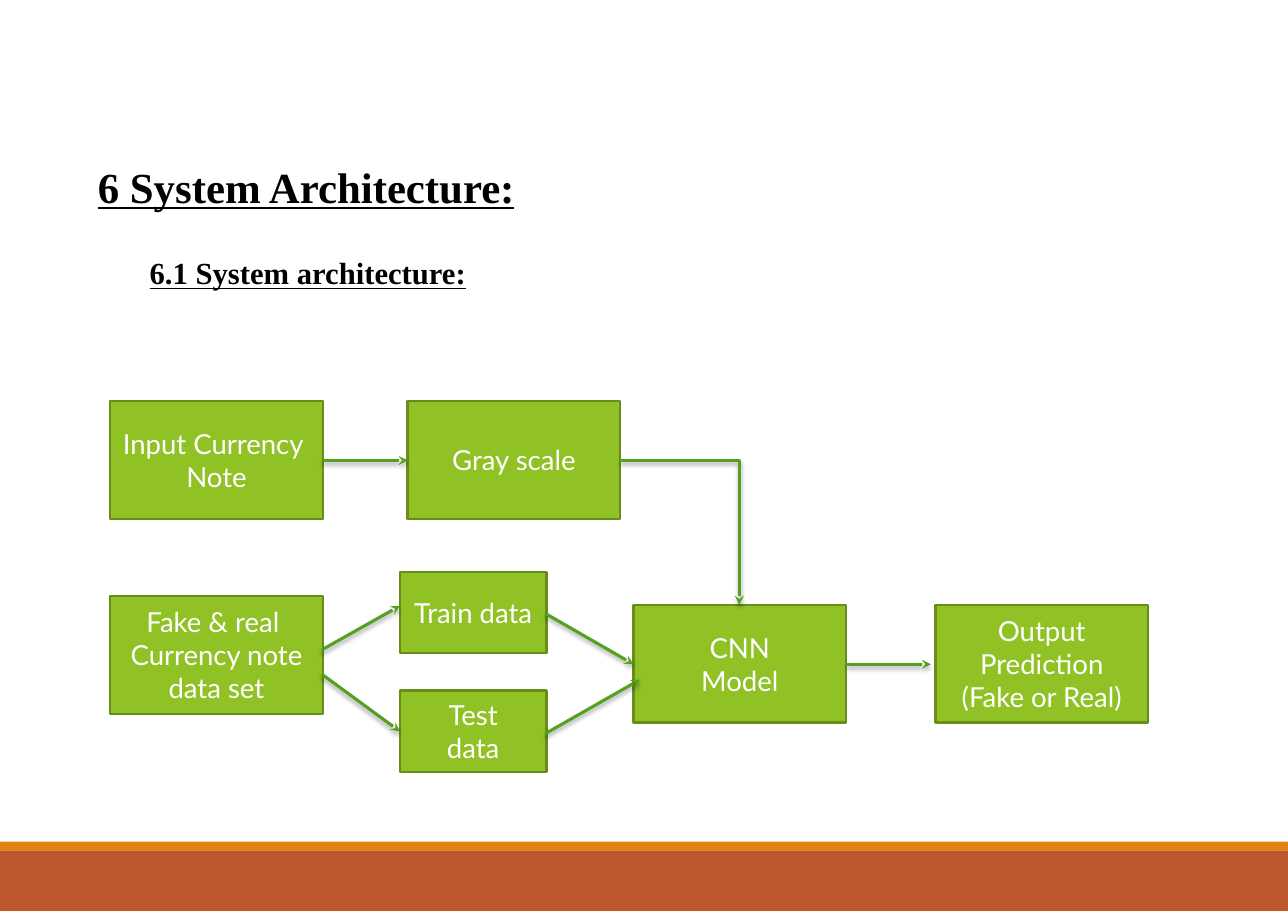
import pptx
import pptx.util
import pptx.dml.color
import pptx.enum.shapes
import pptx.enum.text
import pptx.oxml
from lxml import etree

Inches, Pt = pptx.util.Inches, pptx.util.Pt
RGBColor = pptx.dml.color.RGBColor
RECTANGLE = pptx.enum.shapes.MSO_SHAPE.RECTANGLE
STRAIGHT = pptx.enum.shapes.MSO_CONNECTOR.STRAIGHT
ELBOW = pptx.enum.shapes.MSO_CONNECTOR.ELBOW

RUST = RGBColor(0xBD, 0x58, 0x2C)
ORANGE = RGBColor(0xE4, 0x83, 0x12)
GREEN = RGBColor(0x90, 0xC2, 0x26)
OLIVE = RGBColor(0x69, 0x8D, 0x1B)
ARROW_GREEN = RGBColor(0x54, 0xA0, 0x21)
BLACK = RGBColor(0, 0, 0)
WHITE = RGBColor(0xFF, 0xFF, 0xFF)

ARROW_SHADOW = (
    '<a:effectLst xmlns:a="http://schemas.openxmlformats.org/drawingml/2006/main">'
    '<a:outerShdw blurRad="38100" dist="25400" dir="5400000" rotWithShape="0">'
    '<a:srgbClr val="000000"><a:alpha val="35000"/></a:srgbClr>'
    '</a:outerShdw></a:effectLst>'
)

deck = pptx.Presentation()
deck.slide_width, deck.slide_height = Inches(11.69), Inches(8.27)
slide = deck.slides.add_slide(deck.slide_layouts[6])


def add_block(left, top, width, height, color):
    block = slide.shapes.add_shape(
        RECTANGLE, Inches(left), Inches(top), Inches(width), Inches(height))
    block.shadow.inherit = False
    block.fill.solid()
    block.fill.fore_color.rgb = color
    block.line.fill.background()
    return block


# Footer bands
add_block(0, 7.72, 11.69, 0.55, RUST)
add_block(0, 7.64, 11.69, 0.08, ORANGE)

# Headings
for left, top, width, height, size, wording in [
    (0.79, 1.41, 9.06, 0.53, 28, "6 System Architecture:"),
    (1.26, 2.26, 4.33, 0.38, 20, "6.1 System architecture:"),
]:
    heading = slide.shapes.add_textbox(
        Inches(left), Inches(top), Inches(width), Inches(height)).text_frame
    heading.word_wrap = True
    heading.text = wording
    font = heading.paragraphs[0].font
    font.name, font.size, font.color.rgb = "Times New Roman", Pt(size), BLACK
    font.bold = font.underline = True

# Process steps
LARGE, SMALL = (1.93, 1.07), (1.33, 0.74)
for left, top, step_size, wording in [
    (1, 3.64, LARGE, "Input Currency \nNote"),
    (3.7, 3.64, LARGE, "Gray scale"),
    (1, 5.41, LARGE, "Fake & real \nCurrency note data set"),
    (3.63, 5.19, SMALL, "Train data"),
    (3.63, 6.27, SMALL, "Test\ndata"),
    (5.75, 5.49, LARGE, "CNN\nModel"),
    (8.49, 5.49, LARGE, "Output\nPrediction\n(Fake or Real)"),
]:
    step = add_block(left, top, *step_size, GREEN)
    step.line.color.rgb = OLIVE
    step.line.width = Pt(1.5)
    label = step.text_frame
    label.word_wrap = True
    label.vertical_anchor = pptx.enum.text.MSO_ANCHOR.MIDDLE
    label.text = wording
    for paragraph in label.paragraphs:
        paragraph.alignment = pptx.enum.text.PP_ALIGN.CENTER
        font = paragraph.font
        font.name, font.size, font.color.rgb = "Lato", Pt(18), WHITE

# Flow arrows
for route, x1, y1, x2, y2 in [
    (STRAIGHT, 2.93, 4.18, 3.7, 4.18),
    (STRAIGHT, 4.95, 5.57, 5.75, 6.03),
    (STRAIGHT, 4.95, 6.66, 5.81, 6.17),
    (STRAIGHT, 2.92, 5.9, 3.63, 5.5),
    (STRAIGHT, 2.92, 6.12, 3.63, 6.64),
    (STRAIGHT, 7.68, 6.03, 8.45, 6.03),
    (ELBOW, 5.63, 4.18, 6.71, 5.49),
]:
    arrow = slide.shapes.add_connector(
        route, Inches(x1), Inches(y1), Inches(x2), Inches(y2))
    arrow.line.color.rgb = ARROW_GREEN
    arrow.line.width = Pt(2)
    properties = arrow._element.spPr
    outline = arrow.line._get_or_add_ln()
    etree.SubElement(outline, pptx.oxml.ns.qn("a:tailEnd"), type="stealth")
    properties.append(pptx.oxml.parse_xml(ARROW_SHADOW))
    if route == ELBOW:  # a single right-angle turn
        properties.find(pptx.oxml.ns.qn("a:prstGeom")).set("prst", "bentConnector2")

deck.save("out.pptx")
